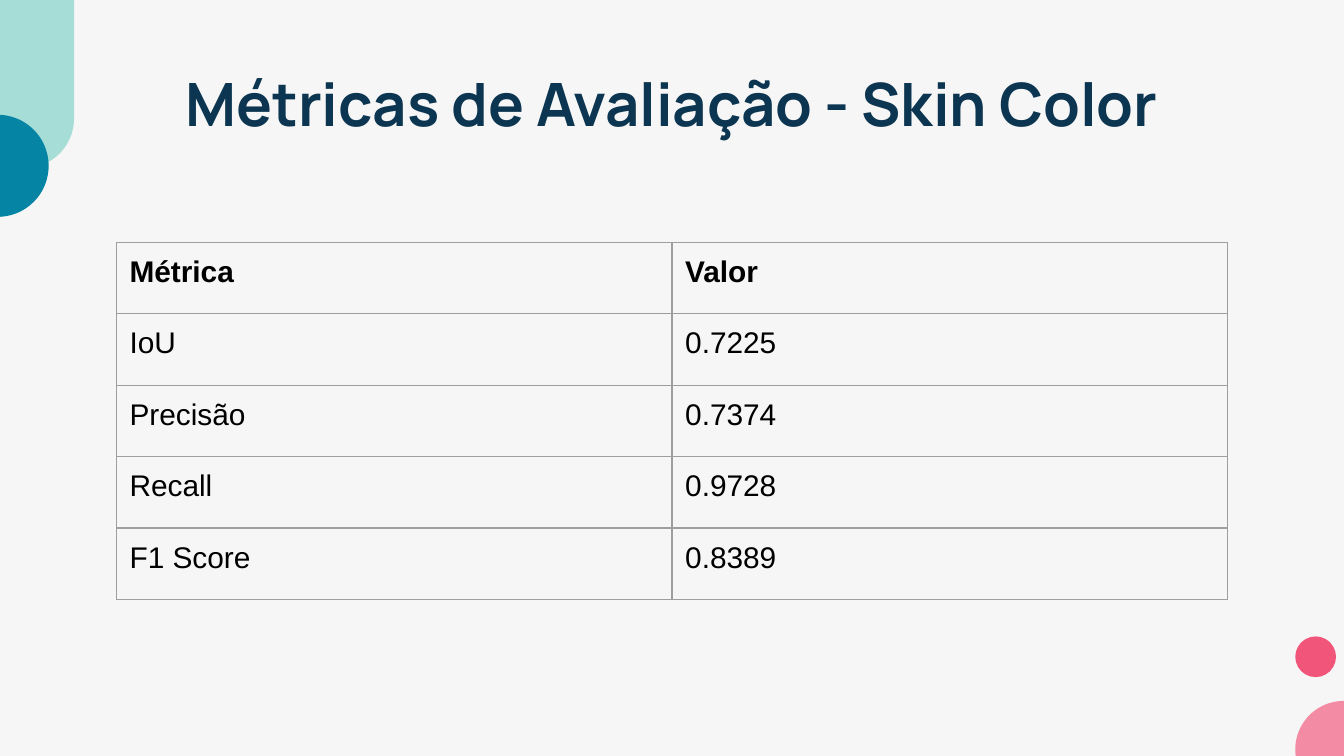
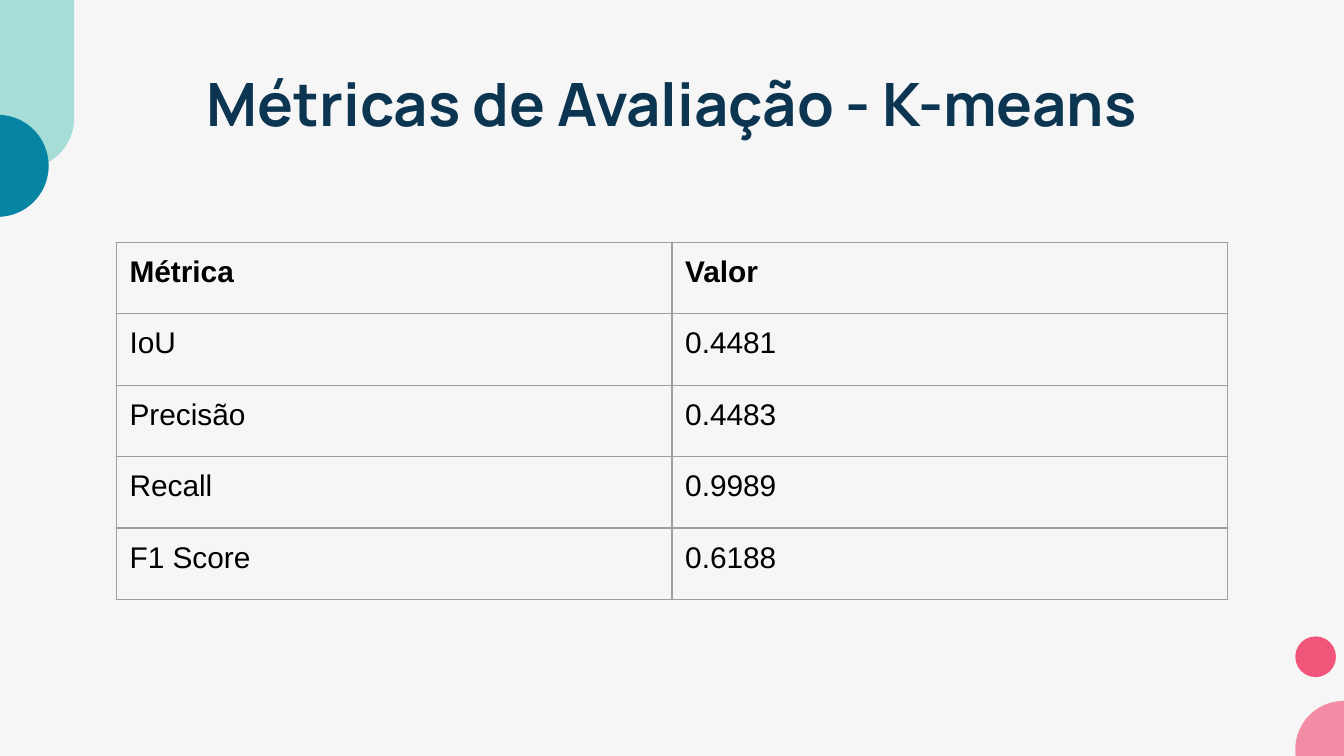
from lxml import etree
from pptx import Presentation
from pptx.dml.color import RGBColor
from pptx.enum import shapes, text
from pptx.oxml import ns
from pptx.util import Cm, Pt

# Content
HEAD = ("Métrica", "Valor")
NAMES = ("IoU", "Precisão", "Recall", "F1 Score")
PAGES = [
    ("Métricas de Avaliação - Skin Color", ("0.7225", "0.7374", "0.9728", "0.8389")),
    ("Métricas de Avaliação - K-means", ("0.4481", "0.4483", "0.9989", "0.6188")),
]

# Shared style
PAPER = RGBColor(0xF6, 0xF6, 0xF6)
NAVY = RGBColor(0x0B, 0x35, 0x50)
PINK = RGBColor(0xF2, 0x55, 0x7A)
MINT = RGBColor(0x74, 0xCE, 0xC4)
TEAL = RGBColor(0x05, 0x84, 0xA4)
GREY = RGBColor(0x9E, 0x9E, 0x9E)
BLACK = RGBColor(0, 0, 0)
INSET = Cm(0.25)
COL, ROW = Cm(10.5), Cm(1.35)

# Corner shapes: preset, left, top, width, height, colour, opacity %, adjustments
KIND = shapes.MSO_SHAPE
DECOR = [
    (KIND.OVAL, 24.48, 12.03, 0.77, 0.77, PINK, 100, ()),
    (KIND.ROUNDED_RECTANGLE, -0.48, -1.9, 1.88, 5.08, MINT, 61, (0.5,)),
    (KIND.CHORD, -1.01, 2.17, 1.93, 1.93, TEAL, 100, (162, 54)),
    (KIND.OVAL, 24.48, 13.25, 1.83, 1.83, PINK, 66, ()),
]


def style(par, face, size, color, bold):
    for run in par.runs:
        font = run.font
        font.name, font.size, font.bold = face, Pt(size), bold
        font.color.rgb = color


def decorate(slide):
    slide.background.fill.solid()
    slide.background.fill.fore_color.rgb = PAPER
    for kind, x, y, w, h, color, alpha, adjust in DECOR:
        shape = slide.shapes.add_shape(kind, Cm(x), Cm(y), Cm(w), Cm(h))
        shape.shadow.inherit = False
        shape.line.fill.background()
        shape.fill.solid()
        shape.fill.fore_color.rgb = color
        for i, value in enumerate(adjust):
            shape.adjustments[i] = value
        if alpha < 100:
            tint = shape.fill._xPr.find(".//" + ns.qn("a:srgbClr"))
            etree.SubElement(tint, ns.qn("a:alpha"), val=str(alpha * 1000))


def add_title(slide, words):
    frame = slide.shapes.add_textbox(Cm(2), Cm(1.02), Cm(21.4), Cm(1.6)).text_frame
    frame.word_wrap = True
    frame.vertical_anchor = text.MSO_ANCHOR.TOP
    frame.margin_left = frame.margin_right = INSET
    frame.margin_top = frame.margin_bottom = INSET
    par = frame.paragraphs[0]
    par.text = words
    par.alignment = text.PP_ALIGN.CENTER
    style(par, "Manrope", 32, NAVY, True)


def border(cell):
    props = cell._tc.get_or_add_tcPr()
    for i, side in enumerate(("lnL", "lnR", "lnT", "lnB")):
        line = etree.Element(ns.qn("a:" + side), w=str(Pt(0.75)))
        fill = etree.SubElement(line, ns.qn("a:solidFill"))
        etree.SubElement(fill, ns.qn("a:srgbClr"), val=str(GREY))
        props.insert(i, line)


def add_grid(slide, rows):
    table = slide.shapes.add_table(len(rows), len(HEAD), Cm(2.2), Cm(4.58),
                                   COL * len(HEAD), ROW * len(rows)).table
    table.horz_banding = table.first_row = False
    for col in table.columns:
        col.width = COL
    for r, row in enumerate(rows):
        table.rows[r].height = ROW
        for c, words in enumerate(row):
            cell = table.cell(r, c)
            cell.margin_left = cell.margin_right = INSET
            cell.margin_top = cell.margin_bottom = INSET
            cell.fill.background()
            border(cell)
            cell.text_frame.text = words
            style(cell.text_frame.paragraphs[0], "Arial", 16, BLACK, r == 0)


def main():
    deck = Presentation()
    deck.slide_width, deck.slide_height = Cm(25.4), Cm(14.29)
    for title, values in PAGES:
        slide = deck.slides.add_slide(deck.slide_layouts[6])
        decorate(slide)
        add_title(slide, title)
        add_grid(slide, [HEAD, *zip(NAMES, values)])
    deck.save("out.pptx")


if __name__ == "__main__":
    main()
